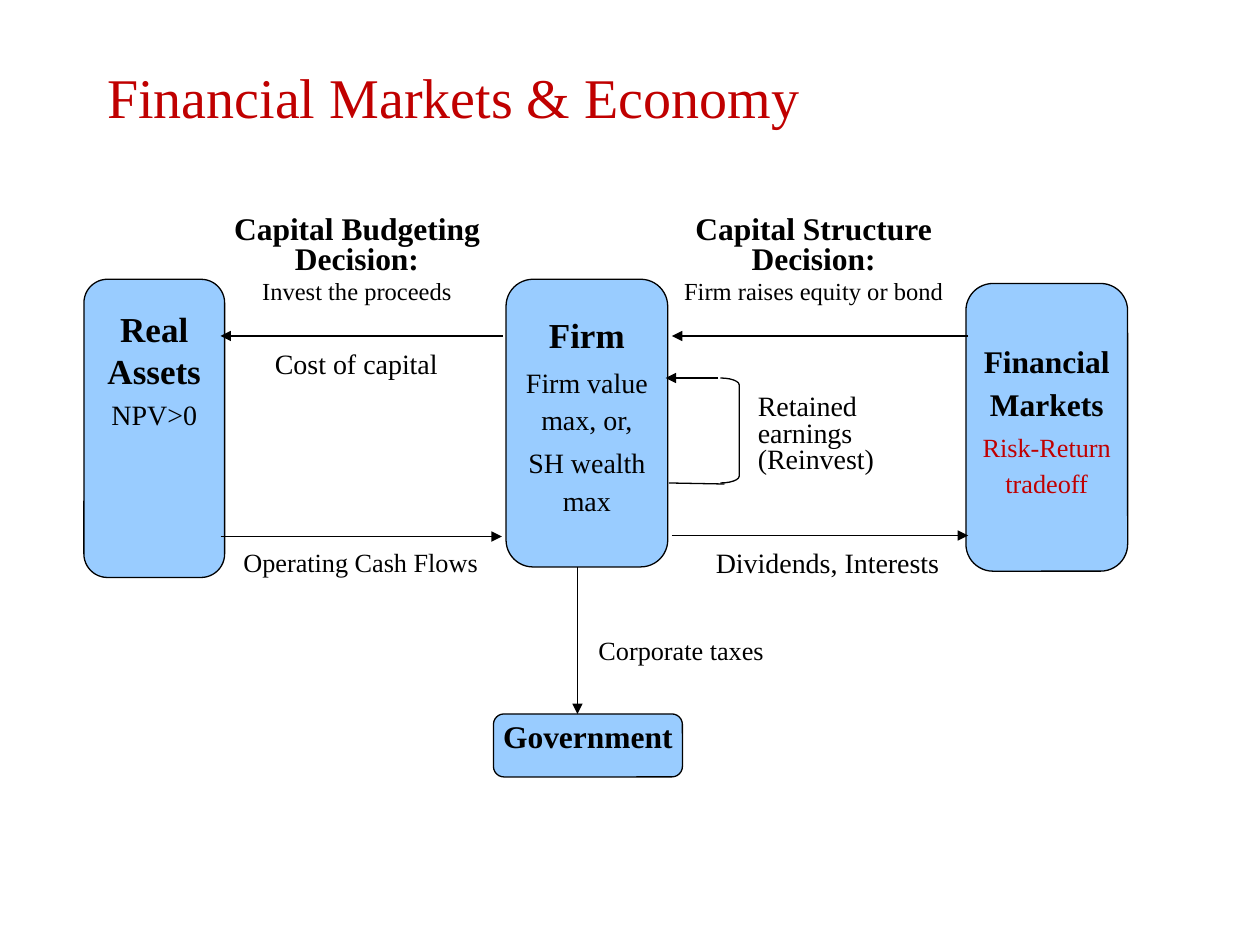
from dataclasses import dataclass

from lxml.etree import SubElement
from pptx import Presentation
from pptx.dml.color import RGBColor
from pptx.enum.shapes import MSO_CONNECTOR, MSO_SHAPE
from pptx.enum.text import MSO_ANCHOR, MSO_AUTO_SIZE, PP_ALIGN
from pptx.oxml.ns import qn
from pptx.util import Inches, Pt

RED = RGBColor(0xC0, 0x00, 0x00)
BLACK = RGBColor(0x00, 0x00, 0x00)
SKY = RGBColor(0x99, 0xCC, 0xFF)
FONT = "Times New Roman"
WIDTH, HEIGHT = Inches(10), Inches(7.5)
COLUMNS = 120
CELL = WIDTH / COLUMNS
LINE_WIDTH = Pt(0.75)
INSETS = (0.1, 0.05, 0.1, 0.05)
FLUSH = (0, 0, 0, 0)


@dataclass
class Box:
    """An area of the slide in grid columns and rows."""
    left: float
    top: float
    width: float
    height: float

    def inner(self, left, top, width, height):
        """Return an area whose offset is counted from this one."""
        return Box(self.left + left, self.top + top, width, height)

    def point(self, across, down):
        """Return the point at the given offset from the corner."""
        return self.left + across, self.top + down

    def emu(self):
        """Return left, top, width and height in slide units."""
        return [round(v * CELL) for v in (self.left, self.top, self.width, self.height)]


def write(frame, *lines, align=PP_ALIGN.LEFT, spacing=None, insets=INSETS,
          anchor=MSO_ANCHOR.TOP):
    """Fill a frame with (text, size, bold, colour) lines."""
    frame.word_wrap = True
    frame.auto_size = MSO_AUTO_SIZE.NONE
    frame.vertical_anchor = anchor
    (frame.margin_left, frame.margin_top,
     frame.margin_right, frame.margin_bottom) = map(Inches, insets)
    for index, (text, size, bold, colour) in enumerate(lines):
        paragraph = frame.add_paragraph() if index else frame.paragraphs[0]
        paragraph.alignment = align
        paragraph.space_before = Pt(size * 0.2)
        if spacing:
            paragraph.line_spacing = spacing
        run = paragraph.add_run()
        run.text = text
        run.font.name, run.font.size = FONT, Pt(size)
        run.font.bold, run.font.color.rgb = bold, colour


def label(slide, box, *lines, **style):
    """Place a tightly spaced caption."""
    caption = slide.shapes.add_textbox(*box.emu())
    write(caption.text_frame, *lines, spacing=0.8, **style)


def outlined(slide, kind, box, adjustment):
    """Place a preset shape with a thin black outline."""
    outline = slide.shapes.add_shape(kind, *box.emu())
    outline.adjustments[0] = adjustment
    outline.shadow.inherit = False
    outline.line.color.rgb, outline.line.width = BLACK, LINE_WIDTH
    return outline


def party(slide, box, *lines, drop=0, spacing=None):
    """Place a rounded box for one party of the economy."""
    body = outlined(slide, MSO_SHAPE.ROUNDED_RECTANGLE, box, 0.167)
    body.fill.solid()
    body.fill.fore_color.rgb = SKY
    write(body.text_frame, *lines, align=PP_ALIGN.CENTER, spacing=spacing,
          insets=(0, drop, 0, 0))


def flow(slide, start, end, arrow=True):
    """Draw a line between two grid points."""
    ends = [round(v * CELL) for v in (*start, *end)]
    link = slide.shapes.add_connector(MSO_CONNECTOR.STRAIGHT, *ends)
    link.line.color.rgb, link.line.width = BLACK, LINE_WIDTH
    if arrow:
        SubElement(link.line._get_or_add_ln(), qn("a:tailEnd"), type="triangle")
    SubElement(link._element.spPr, qn("a:effectLst"))


def header(slide, box):
    """Move and fill the title placeholder."""
    title = slide.shapes.title
    title.left, title.top, title.width, title.height = box.emu()
    write(title.text_frame, ("Financial Markets & Economy", 32, False, RED),
          anchor=MSO_ANCHOR.BOTTOM)


def parties(slide, box):
    """Place real assets, the firm, financial markets and the government."""
    party(slide, box.inner(0, 6.6, 13.4, 28.4),
          ("Real Assets", 20, True, BLACK), ("NPV>0", 16, False, BLACK), drop=0.17)
    party(slide, box.inner(40.2, 6.6, 15.4, 27.4),
          ("Firm", 20, True, BLACK), ("Firm value max, or,", 16, False, BLACK),
          ("SH wealth max", 16, False, BLACK), drop=0.17, spacing=1.12)
    party(slide, box.inner(84, 7, 15.4, 27.4),
          ("Financial Markets", 18, True, BLACK),
          ("Risk-Return tradeoff", 15, False, RED), drop=0.37, spacing=1.12)
    party(slide, box.inner(39, 48, 18, 6), ("Government", 18, True, BLACK))


def decisions(slide, box):
    """Place the two decision captions above the upper flows."""
    captions = (
        (13, 26, "Capital Budgeting Decision:", "Invest the proceeds"),
        (55, 29, "Capital Structure Decision:", "Firm raises equity or bond"),
    )
    for left, width, decision, action in captions:
        label(slide, box.inner(left, 0, width, 10), (decision, 18, True, BLACK),
              (action, 14, False, BLACK), align=PP_ALIGN.CENTER)


def flows(slide, box):
    """Draw the payments between the parties and name them."""
    upper, lower = 12, 31
    for start, end, row in ((39.9, 13, upper), (13, 39.8, lower + 0.1),
                            (56, 84.2, lower), (84.2, 56, upper)):
        flow(slide, box.point(start, row), box.point(end, row))
    flow(slide, box.point(47, 34), box.point(47, 48))
    for area, text, size, insets in (
            ((17, 13, 18.4, 4), "Cost of capital", 16, INSETS),
            ((14, 32, 25, 5.8), "Operating Cash Flows", 15, INSETS),
            ((59, 32, 25, 5), "Dividends, Interests", 16, INSETS),
            ((49, 41, 17, 4), "Corporate taxes", 15, FLUSH)):
        label(slide, box.inner(*area), (text, size, False, BLACK), insets=insets)


def reinvestment(slide, box):
    """Draw the loop of earnings that returns to the firm."""
    bracket = outlined(slide, MSO_SHAPE.RIGHT_BRACKET,
                       box.inner(5.2, 0, 1.8, box.height), 0.36)
    bracket.fill.background()
    flow(slide, box.point(0.3, box.height), box.point(5.6, box.height + 0.1), arrow=False)
    flow(slide, box.point(5, 0), box.point(0, 0))
    label(slide, box.inner(7.6, 1, 14.2, 8.6),
          ("Retained earnings (Reinvest)", 16, False, BLACK))


def build():
    """Build and save the slide."""
    deck = Presentation()
    deck.slide_width, deck.slide_height = WIDTH, HEIGHT
    slide = deck.slides.add_slide(deck.slide_layouts[5])
    diagram = Box(8, 20, 99.4, 54)
    header(slide, Box(9, 4, 108, 9))
    parties(slide, diagram)
    flows(slide, diagram)
    decisions(slide, diagram)
    reinvestment(slide, diagram.inner(55.4, 16, 21.8, 10))
    deck.save("out.pptx")


build()
